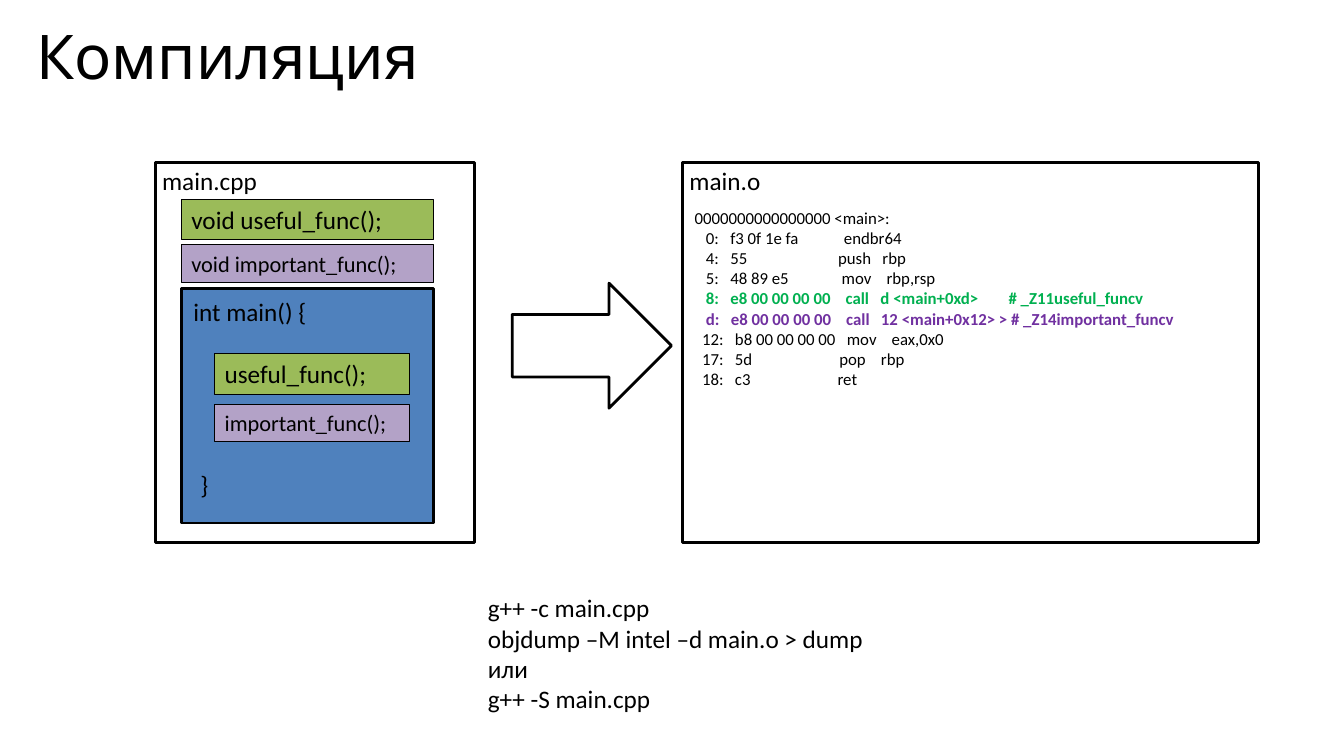
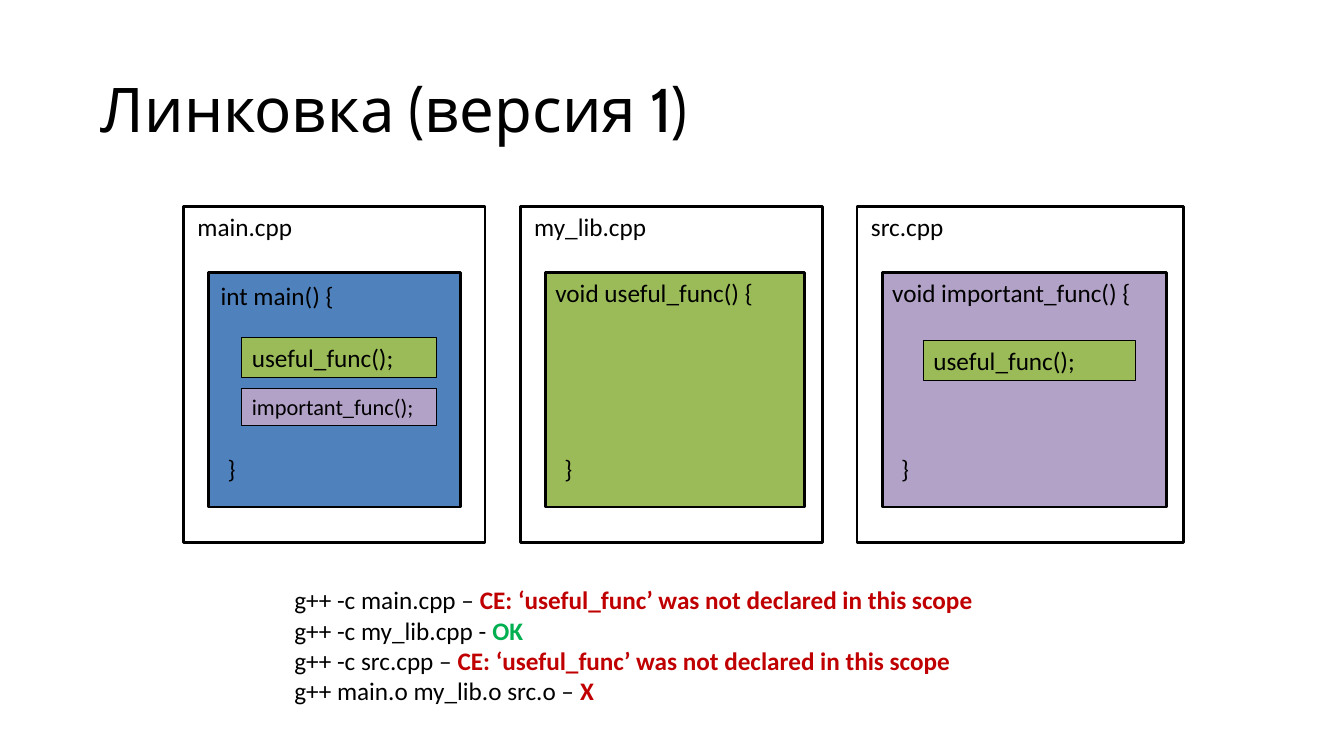
"""Builds two slides on compiling and linking C++ sources."""
from dataclasses import dataclass

from pptx import Presentation
from pptx.dml.color import RGBColor
from pptx.enum.shapes import MSO_SHAPE
from pptx.enum.text import MSO_ANCHOR, MSO_AUTO_SIZE, PP_ALIGN
from pptx.util import Inches, Pt


@dataclass(frozen=True)
class Theme:
    """Colours, fonts, type sizes and line widths of the deck."""
    black: RGBColor = RGBColor.from_string("000000")
    white: RGBColor = RGBColor.from_string("FFFFFF")
    main: RGBColor = RGBColor.from_string("4F81BD")
    useful: RGBColor = RGBColor.from_string("9BBB59")
    important: RGBColor = RGBColor.from_string("B3A2C7")
    green: RGBColor = RGBColor.from_string("00B050")
    violet: RGBColor = RGBColor.from_string("7030A0")
    red: RGBColor = RGBColor.from_string("C00000")
    title_font: str = "Cabin"
    body_font: str = "Calibri"
    title_size: float = 44
    body_size: float = 18
    small_size: float = 16
    code_size: float = 12
    thick: float = 2
    thin: float = 0.75


THEME = Theme()
SCOPE_ERROR = "CE: ‘useful_func’ was not declared in this scope"
COMPILE_COMMANDS = (
    "g++ -c main.cpp",
    "objdump –M intel –d main.o > dump",
    "или",
    "g++ -S main.cpp",
)
DISASSEMBLY = (
    "0000000000000000 <main>:",
    "   0:   f3 0f 1e fa            endbr64",
    "   4:   55                        push   rbp",
    "   5:   48 89 e5              mov    rbp,rsp",
    ("   ", "8:   e8 00 00 00 00    call   d <main+0xd>        # _Z11useful_funcv", THEME.green),
    ("   ", "d:   e8 00 00 00 00    call   12 <main+0x12> > # _Z14important_funcv", THEME.violet),
    "  12:   b8 00 00 00 00   mov    eax,0x0",
    "  17:   5d                       pop    rbp",
    "  18:   c3                       ret",
)
LINK_COMMANDS = (
    ("g++ -c main.cpp – ", SCOPE_ERROR, THEME.red),
    ("g++ -c my_lib.cpp - ", "OK", THEME.green),
    ("g++ -c src.cpp – ", SCOPE_ERROR, THEME.red),
    ("g++ main.o my_lib.o src.o – ", "X", THEME.red),
)


def add_run(paragraph, text, size, color=THEME.black, bold=False, font=THEME.body_font):
    """Append one formatted run."""
    run = paragraph.add_run()
    run.text = text
    run.font.name = font
    run.font.size = Pt(size)
    run.font.bold = bold
    run.font.color.rgb = color


def write_lines(frame, lines, size):
    """Fill a frame; a line is plain text or (plain, highlighted, colour)."""
    frame.word_wrap = True
    frame.auto_size = MSO_AUTO_SIZE.NONE
    frame.vertical_anchor = MSO_ANCHOR.TOP
    for index, line in enumerate(lines):
        paragraph = frame.add_paragraph() if index else frame.paragraphs[0]
        paragraph.alignment = PP_ALIGN.LEFT
        if isinstance(line, str):
            add_run(paragraph, line, size)
        else:
            plain, highlighted, color = line
            add_run(paragraph, plain, size)
            add_run(paragraph, highlighted, size, color, bold=True)


def add_title(slide, text, left, top):
    """Place and format the title placeholder."""
    title = slide.shapes.title
    title.left, title.top = Inches(left), Inches(top)
    title.width, title.height = Inches(10.26), Inches(0.76)
    frame = title.text_frame
    frame.margin_left = frame.margin_top = frame.margin_right = frame.margin_bottom = 0
    frame.auto_size = MSO_AUTO_SIZE.NONE
    frame.vertical_anchor = MSO_ANCHOR.MIDDLE
    frame.paragraphs[0].alignment = PP_ALIGN.LEFT
    add_run(frame.paragraphs[0], text, THEME.title_size, font=THEME.title_font)


def add_text(slide, lines, left, top, width, height=0.4, size=THEME.body_size):
    """Add a text box holding the given lines."""
    box = slide.shapes.add_textbox(Inches(left), Inches(top), Inches(width), Inches(height))
    write_lines(box.text_frame, lines, size)


def add_block(slide, left, top, width, height, fill=None, line=THEME.thick, kind=MSO_SHAPE.RECTANGLE):
    """Add an outlined shape, unfilled when no colour is given."""
    block = slide.shapes.add_shape(kind, Inches(left), Inches(top), Inches(width), Inches(height))
    block.shadow.inherit = False
    if fill is None:
        block.fill.background()
    else:
        block.fill.solid()
        block.fill.fore_color.rgb = fill
    block.line.color.rgb = THEME.black
    block.line.width = Pt(line)
    return block


def add_useful(slide, text, left, top, width):
    """Add a green bar naming the useful function."""
    bar = add_block(slide, left, top, width, 0.4, THEME.useful, THEME.thin)
    write_lines(bar.text_frame, [text], THEME.body_size)


def add_important(slide, text, left, top, width):
    """Add a violet bar naming the important function."""
    bar = add_block(slide, left, top, width, 0.37, THEME.important, THEME.thin)
    write_lines(bar.text_frame, [text], THEME.small_size)


def add_file(slide, name, left, top, width, height, dx=0.04, dy=0.0):
    """Add a file frame with its name shifted by dx, dy from the corner."""
    add_block(slide, left, top, width, height, THEME.white)
    add_text(slide, [name], left + dx, top + dy, 1.5)


def add_function(slide, header, left, top, width, fill, dx=0.0, dy=0.0):
    """Add a function body with its header and closing brace."""
    add_block(slide, left, top, width, 2.33, fill)
    add_text(slide, [header], left + dx, top + dy, width)
    add_text(slide, ["}"], left + 0.09, top + 1.75, 0.83)


def add_main_function(slide, left, top):
    """Add main() with its two calls."""
    add_function(slide, "int main() {", left, top, 2.5, THEME.main, 0.02, 0.03)
    add_useful(slide, "useful_func();", left + 0.33, top + 0.65, 1.93)
    add_important(slide, "important_func();", left + 0.33, top + 1.15, 1.93)


def build_compilation(slide):
    """Show main.cpp turning into main.o."""
    add_title(slide, "Компиляция", 0.36, 0.16)
    add_file(slide, "main.cpp", 1.54, 1.61, 3.17, 3.77, -0.03, -0.02)
    add_useful(slide, "void useful_func();", 1.8, 1.98, 2.5)
    add_important(slide, "void important_func();", 1.8, 2.43, 2.5)
    add_main_function(slide, 1.8, 2.86)
    add_block(slide, 5.08, 2.81, 1.58, 1.24, kind=MSO_SHAPE.RIGHT_ARROW)
    add_file(slide, "main.o", 6.77, 1.61, 5.71, 3.77, -0.03, -0.02)
    add_text(slide, DISASSEMBLY, 6.79, 2.01, 5.68, 1.92, THEME.code_size)
    add_text(slide, COMPILE_COMMANDS, 4.74, 5.83, 4.34, 1.31)


def build_linking(slide):
    """Show three sources and the result of building each."""
    add_title(slide, "Линковка (версия 1)", 1, 0.69)
    file_top, body_top, inset = 2.05, 2.7, 0.25
    main_left, lib_left, src_left = (1.82 + 3.34 * column for column in range(3))
    for name, left, width in (
        ("main.cpp", main_left, 2.99),
        ("my_lib.cpp", lib_left, 3),
        ("src.cpp", src_left, 3.24),
    ):
        add_file(slide, name, left, file_top, width, 3.33)
    add_main_function(slide, main_left + inset, body_top)
    add_function(slide, "void useful_func() {", lib_left + inset, body_top, 2.57, THEME.useful)
    add_function(slide, "void important_func() {", src_left + inset, body_top, 2.82, THEME.important)
    add_useful(slide, "useful_func();", 9.16, 3.38, 2.1)
    add_text(slide, LINK_COMMANDS, 2.82, 5.75, 8.18, 1.31)


def main():
    """Build and save the deck."""
    deck = Presentation()
    deck.slide_width, deck.slide_height = Inches(13.33), Inches(7.5)
    title_only = deck.slide_layouts.get_by_name("Title Only")
    for build in (build_compilation, build_linking):
        build(deck.slides.add_slide(title_only))
    deck.save("out.pptx")


if __name__ == "__main__":
    main()
